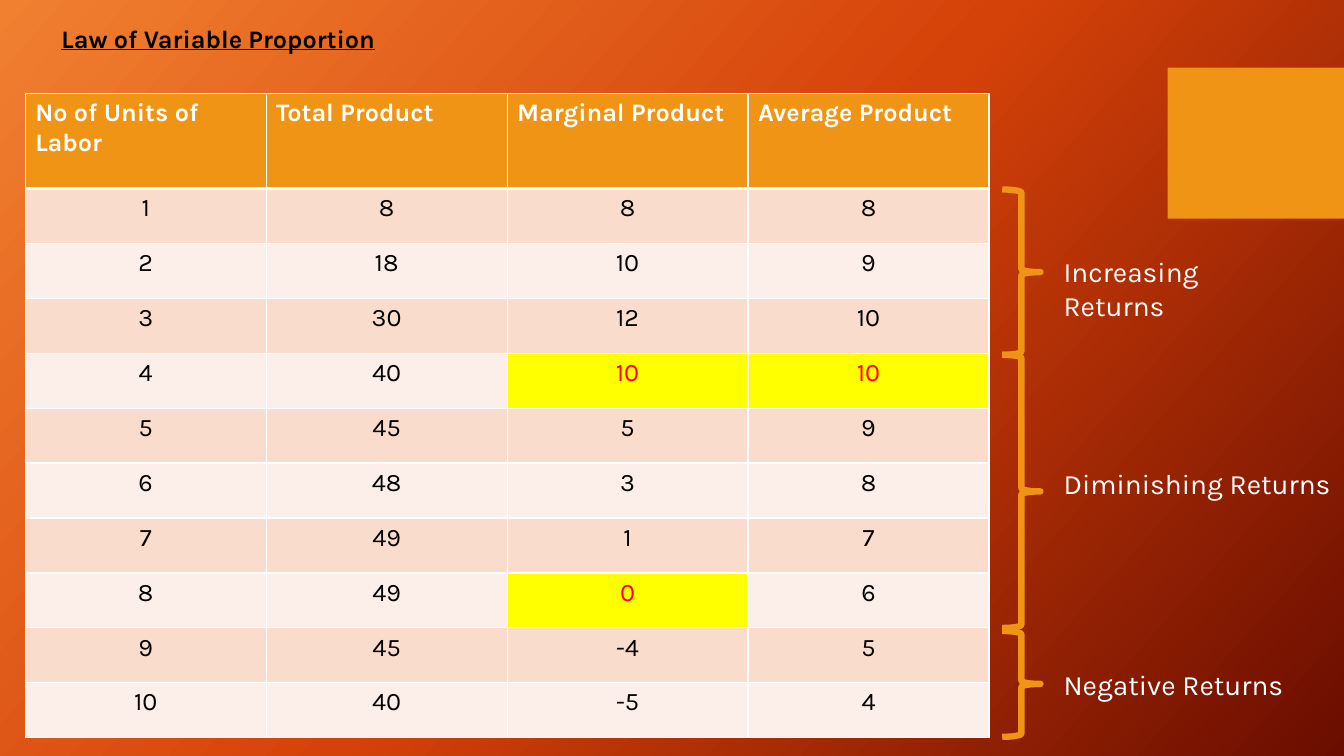
from copy import deepcopy

from pptx import Presentation
from pptx.dml.color import RGBColor
from pptx.enum.shapes import MSO_SHAPE as Shape
from pptx.enum.text import PP_ALIGN as Align
from pptx.oxml import parse_xml
from pptx.oxml.ns import nsdecls, qn
from pptx.util import Inches, Pt

FONT = "Karla"
COLORS = {
    "glow": "F18031", "flame": "D54209", "ember": "6A0D00",
    "accent": "F09415", "band": "F9DCCC", "pale": "FCEEE8",
    "highlight": "FFFF00", "alert": "FF0000", "white": "FFFFFF", "black": "000000",
}
HEADERS = ["No of Units of Labor", "Total Product", "Marginal Product", "Average Product"]
PRODUCTS = [
    (1, 8, 8, 8), (2, 18, 10, 9), (3, 30, 12, 10), (4, 40, 10, 10), (5, 45, 5, 9),
    (6, 48, 3, 8), (7, 49, 1, 7), (8, 49, 0, 6), (9, 45, -4, 5), (10, 40, -5, 4),
]
TURNING_POINTS = {(4, 2), (4, 3), (8, 2)}  # row, column
# Label, label top, label width, brace top, brace height
STAGES = [
    ("Increasing Returns", 2.48, 2.58, 1.88, 1.64),
    ("Diminishing Returns", 4.58, 3.1, 3.52, 2.71),
    ("Negative Returns", 6.57, 2.58, 6.26, 1.05),
]


def rgb(name):
    return RGBColor.from_string(COLORS[name])


class SlideBuilder:
    def __init__(self, slide):
        self.slide = slide

    def background(self, names, angle):
        fill = self.slide.background.fill
        fill.gradient()
        fill.gradient_angle = 360 - angle
        stop_list = next(self.slide.element.iter(qn("a:gsLst")))
        while len(stop_list) < len(names):
            stop_list.append(deepcopy(stop_list[0]))
        for index, (stop, name) in enumerate(zip(fill.gradient_stops, names)):
            stop.position = index / (len(names) - 1)
            stop.color.rgb = rgb(name)

    def style(self, paragraph, size, color, bold=False, underline=False):
        font = paragraph.font
        font.name, font.size = FONT, Pt(size)
        font.bold, font.underline = bold, underline
        font.color.rgb = rgb(color)

    def shape(self, kind, left, top, width, height, fill=None, line=None):
        shape = self.slide.shapes.add_shape(
            kind, Inches(left), Inches(top), Inches(width), Inches(height))
        shape.shadow.inherit = False
        if fill:
            shape.fill.solid()
            shape.fill.fore_color.rgb = rgb(fill)
        else:
            shape.fill.background()
        if line:
            shape.line.color.rgb = rgb(line)
            shape.line.width = Pt(4.5)
        else:
            shape.line.fill.background()

    def text(self, content, left, top, width, height, size, color, **emphasis):
        box = self.slide.shapes.add_textbox(
            Inches(left), Inches(top), Inches(width), Inches(height))
        box.text_frame.word_wrap = True
        box.text_frame.text = content
        self.style(box.text_frame.paragraphs[0], size, color, **emphasis)

    def cell(self, cell, content, fill, color, align, bold=False, top=1, bottom=1):
        properties = cell._tc.get_or_add_tcPr()
        for side, points in (("L", 1), ("R", 1), ("T", top), ("B", bottom)):
            properties.append(parse_xml(
                f'<a:ln{side} {nsdecls("a")} w="{Pt(points)}"><a:solidFill>'
                f'<a:srgbClr val="{COLORS["white"]}"/></a:solidFill></a:ln{side}>'))
        cell.fill.solid()
        cell.fill.fore_color.rgb = rgb(fill)
        cell.text = str(content)
        paragraph = cell.text_frame.paragraphs[0]
        paragraph.alignment = align
        self.style(paragraph, 18, color, bold)

    def table(self, left, top, column_width, header_height, row_height):
        rows, columns = len(PRODUCTS) + 1, len(HEADERS)
        table = self.slide.shapes.add_table(
            rows, columns, Inches(left), Inches(top), Inches(column_width * columns),
            Inches(header_height + row_height * len(PRODUCTS))).table
        for column in table.columns:
            column.width = Inches(column_width)
        for index, row in enumerate(table.rows):
            row.height = Inches(row_height if index else header_height)
        for column, header in enumerate(HEADERS):
            self.cell(table.cell(0, column), header, "accent", "white", Align.LEFT,
                      bold=True, bottom=3)
        for row, values in enumerate(PRODUCTS, start=1):
            for column, value in enumerate(values):
                fill, color = "band" if row % 2 else "pale", "black"
                if (row, column) in TURNING_POINTS:
                    fill, color = "highlight", "alert"
                self.cell(table.cell(row, column), value, fill, color, Align.CENTER,
                          top=3 if row == 1 else 1)


def main():
    presentation = Presentation()
    presentation.slide_width, presentation.slide_height = Inches(13.33), Inches(7.5)
    builder = SlideBuilder(presentation.slides.add_slide(presentation.slide_layouts[6]))

    # Background and corner block
    builder.background(["glow", "flame", "ember"], 42)
    builder.shape(Shape.RECTANGLE, 11.58, 0.67, 1.75, 1.5, fill="accent")

    # Product table
    builder.table(0.25, 0.93, 2.39, 0.94, 0.545)

    # Stages of returns
    for label, label_top, label_width, brace_top, brace_height in STAGES:
        builder.shape(Shape.RIGHT_BRACE, 9.94, brace_top, 0.38, brace_height, line="accent")
        builder.text(label, 10.45, label_top, label_width, 0.44, 20, "white")

    # Title
    builder.text("Law of Variable Proportion", 0.51, 0.18, 3.85, 0.4, 18, "black",
                 bold=True, underline=True)

    presentation.save("out.pptx")


if __name__ == "__main__":
    main()
